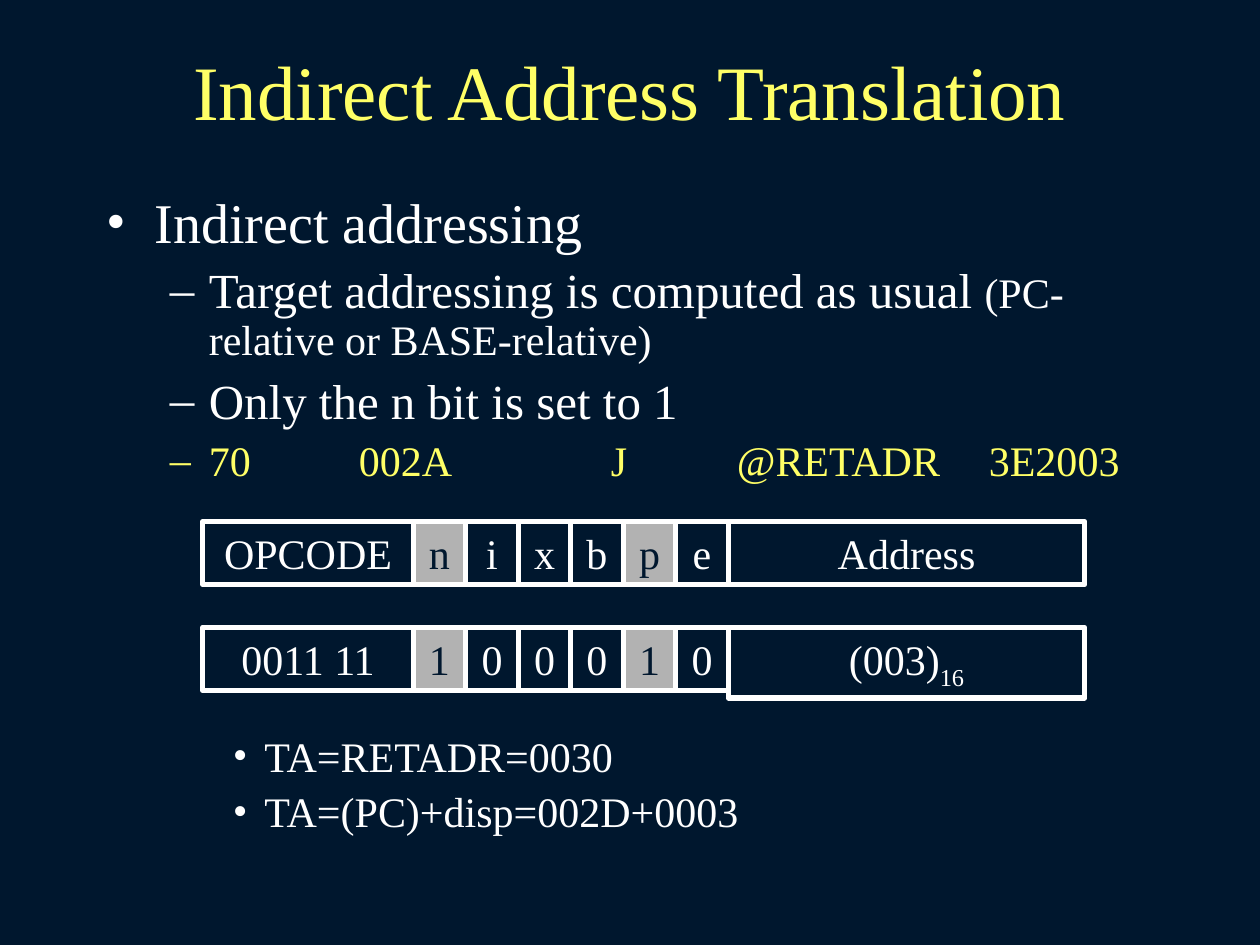
from pptx import Presentation
from pptx.dml.color import RGBColor
from pptx.enum.shapes import MSO_SHAPE
from pptx.enum.text import MSO_ANCHOR, PP_ALIGN
from pptx.oxml.ns import qn
from pptx.util import Inches, Pt
from lxml.etree import SubElement

COLORS = {"navy": "00172E", "yellow": "FFFF66", "white": "FFFFFF", "gray": "B2B2B2"}
FONT = "Times New Roman"
# Left margin and hanging indent (inches) and bullet mark of each level
LEVELS = [(0.38, 0.38, "•"), (0.81, 0.31, "–"), (1.25, 0.25, "•")]
FLAG_WIDTH = 5 / 12
FIELD_WIDTHS = [1.67] + [FLAG_WIDTH] * 6 + [2.83]
HIGHLIGHTED = {1, 5}  # the n and p flags


def rgb(color):
    return RGBColor.from_string(COLORS[color])


def set_font(paragraph, size, color):
    font = paragraph.font
    font.name, font.size = FONT, Pt(size)
    font.color.rgb = rgb(color)


def add_bullet(paragraph, level, color):
    margin, hanging, mark = LEVELS[level]
    paragraph.level = level
    properties = paragraph._p.get_or_add_pPr()
    properties.set("marL", str(Inches(margin)))
    properties.set("indent", str(-Inches(hanging)))
    bullet_color = SubElement(properties, qn("a:buClr"))
    SubElement(bullet_color, qn("a:srgbClr"), val=COLORS[color])
    SubElement(properties, qn("a:buFont"), typeface=FONT)
    SubElement(properties, qn("a:buChar"), char=mark)
    tabs = SubElement(properties, qn("a:tabLst"))
    for inch in range(1, 9):
        SubElement(tabs, qn("a:tab"), pos=str(Inches(inch)), algn="l")


def add_title(slide, left, top, width, height):
    title = slide.shapes.add_textbox(
        Inches(left), Inches(top), Inches(width), Inches(height)).text_frame
    title.word_wrap = True
    title.vertical_anchor = MSO_ANCHOR.MIDDLE
    heading = title.paragraphs[0]
    heading.text = "Indirect Address Translation"
    heading.alignment = PP_ALIGN.CENTER
    set_font(heading, 44, "yellow")


def add_outline(slide, left, top, width, height, items):
    """Each item: level, size, color, space before, text, optional smaller remark."""
    outline = slide.shapes.add_textbox(
        Inches(left), Inches(top), Inches(width), Inches(height)).text_frame
    outline.word_wrap = True
    for index, (level, size, color, space, text, *remark) in enumerate(items):
        point = outline.add_paragraph() if index else outline.paragraphs[0]
        point.line_spacing = 0.9
        point.space_before = Pt(space)
        add_bullet(point, level, color)
        set_font(point, size, color)
        point.add_run().text = text
        for aside in remark:
            aside_run = point.add_run()
            aside_run.text = aside
            aside_run.font.size = Pt(24)


def add_instruction(slide, left, top, height, values, address_height, base=None):
    """One row of instruction fields, with an optional subscript on the last."""
    last = len(values) - 1
    for index, (value, width) in enumerate(zip(values, FIELD_WIDTHS)):
        field = slide.shapes.add_shape(
            MSO_SHAPE.RECTANGLE, Inches(left), Inches(top), Inches(width),
            Inches(address_height if index == last else height))
        left += width
        field.shadow.inherit = False
        field.line.color.rgb = rgb("white")
        field.line.width = Pt(3)
        if index in HIGHLIGHTED:
            field.fill.solid()
            field.fill.fore_color.rgb = rgb("gray")
        else:
            field.fill.background()
        field.text_frame.vertical_anchor = MSO_ANCHOR.TOP
        label = field.text_frame.paragraphs[0]
        label.alignment = PP_ALIGN.CENTER
        set_font(label, 24, "navy" if index in HIGHLIGHTED else "white")
        runs = [label.add_run()]
        runs[0].text = value
        if index == last and base:
            subscript = label.add_run()
            subscript.text = base
            subscript.font._element.set("baseline", "-25000")
            runs.append(subscript)
        # Shape style would otherwise override the text colour
        for run in runs:
            run.font.color.rgb = label.font.color.rgb


def main():
    prs = Presentation()
    prs.slide_width, prs.slide_height = Inches(10), Inches(7.5)
    slide = prs.slides.add_slide(prs.slide_layouts[6])
    slide.background.fill.solid()
    slide.background.fill.fore_color.rgb = rgb("navy")

    add_title(slide, 0.75, 0.25, 8.5, 0.92)

    # Explanation and the sample instruction
    add_outline(slide, 0.75, 1.5, 8.5, 2.5, [
        (0, 32, "white", 0, "Indirect addressing"),
        (1, 28, "white", 6, "Target addressing is computed as usual ",
         "(PC-relative or BASE-relative)"),
        (1, 28, "white", 7, "Only the n bit is set to 1"),
        (1, 24, "yellow", 6, "70\t002A\t\tJ\t@RETADR\t3E2003"),
    ])

    # Instruction format and its encoded values
    add_instruction(slide, 1.61, 4.14, 0.5,
                    ["OPCODE", *"nixbpe", "Address"], 0.5)
    add_instruction(slide, 1.61, 4.98, 0.5,
                    ["0011 11", *"100010", "(003)"], 0.56, base="16")

    # Target address result
    add_outline(slide, 0.75, 5.79, 8.5, 0.88, [
        (2, 24, "white", 0, "TA=RETADR=0030"),
        (2, 24, "white", 6, "TA=(PC)+disp=002D+0003"),
    ])

    prs.save("out.pptx")


if __name__ == "__main__":
    main()
